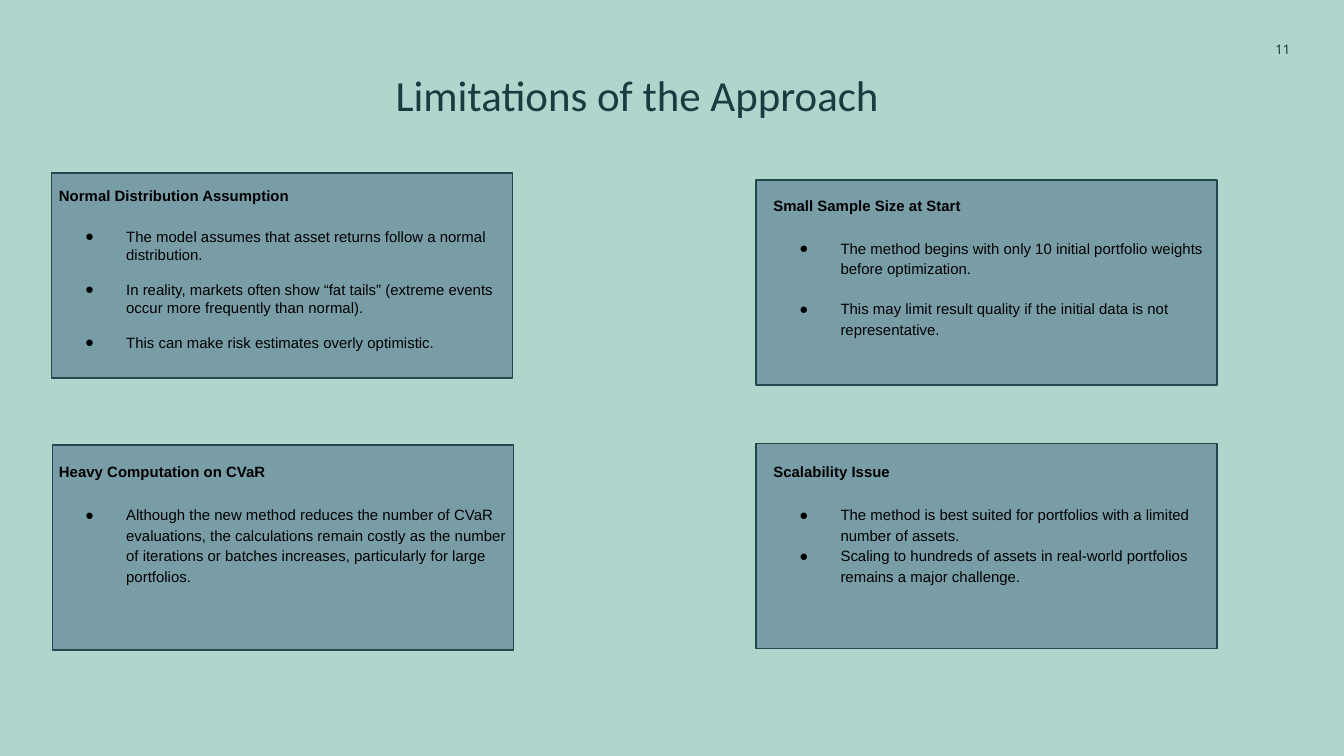
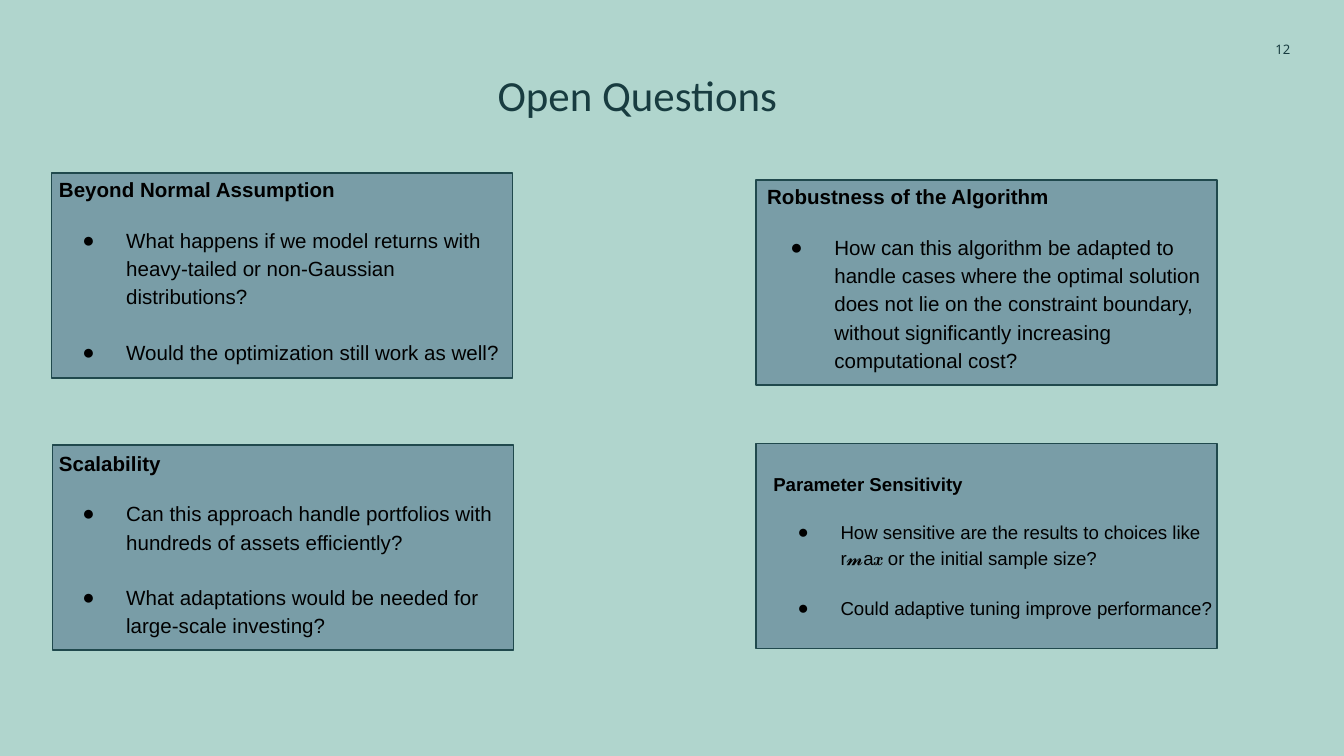
from lxml import etree
from pptx import Presentation
from pptx.dml.color import RGBColor
from pptx.enum.shapes import MSO_SHAPE
from pptx.enum.text import MSO_ANCHOR, PP_ALIGN
from pptx.oxml.ns import qn
from pptx.util import Pt

RECTANGLE = MSO_SHAPE.RECTANGLE
MIDDLE = MSO_ANCHOR.MIDDLE
LEFT, CENTER, RIGHT = PP_ALIGN.LEFT, PP_ALIGN.CENTER, PP_ALIGN.RIGHT

BACKGROUND, CARD_FILL, CARD_LINE = "B0D5CD", "799DA7", "20494D"
INK, BLACK = "183C40", "000000"
CARD_SIZE = (247, 109.8)
TEXT_SIZE = (242.6, 126.7)
CARD_CORNERS = [(27.6, 92.7), (405, 96.5), (28, 238.4), (405, 237.6)]
ARIAL_LINE = 1.15
PARAGRAPH_GAP = 12

SLIDES = [
    {
        "number": "11",
        "title": "Limitations of the Approach",
        "cards": [
            {"heading": "Normal Distribution Assumption", "corner": (31.6, 85.8),
             "size": 8, "spacing": 1.0, "apart": True, "bullets": [
                 "The model assumes that asset returns follow a normal distribution.",
                 "In reality, markets often show “fat tails” (extreme events occur more "
                 "frequently than normal).",
                 "This can make risk estimates overly optimistic."]},
            {"heading": "Small Sample Size at Start", "corner": (414.3, 84.2),
             "size": 8, "spacing": 1.15, "apart": True, "bullets": [
                 "The method begins with only 10 initial portfolio weights before optimization.",
                 "This may limit result quality if the initial data is not representative."]},
            {"heading": "Heavy Computation on CVaR", "corner": (31.6, 221.8),
             "size": 8, "spacing": 1.15, "apart": False, "bullets": [
                 "Although the new method reduces the number of CVaR evaluations, the "
                 "calculations remain costly as the number of iterations or batches "
                 "increases, particularly for large portfolios."]},
            {"heading": "Scalability Issue", "corner": (414.3, 221.8),
             "size": 8, "spacing": 1.15, "apart": False, "bullets": [
                 "The method is best suited for portfolios with a limited number of assets.",
                 "Scaling to hundreds of assets in real-world portfolios remains a major "
                 "challenge."]},
        ],
    },
    {
        "number": "12",
        "title": "Open Questions",
        "cards": [
            {"heading": "Beyond Normal Assumption", "corner": (31.6, 85.8),
             "size": 11, "spacing": 1.15, "apart": True, "bullets": [
                 "What happens if we model returns with heavy-tailed or non-Gaussian "
                 "distributions?",
                 "Would the optimization still work as well?"]},
            {"heading": "Robustness of the Algorithm", "corner": (411, 89.8),
             "size": 11, "spacing": 1.15, "apart": False, "bullets": [
                 "How can this algorithm be adapted to handle cases where the optimal "
                 "solution does not lie on the constraint boundary, without significantly "
                 "increasing computational cost?"]},
            {"heading": "Scalability", "corner": (31.6, 232.3),
             "size": 11, "spacing": 1.15, "apart": True, "bullets": [
                 "Can this approach handle portfolios with hundreds of assets efficiently?",
                 "What adaptations would be needed for large-scale investing?"]},
            {"heading": "Parameter Sensitivity", "corner": (414.3, 233.3),
             "size": 10, "spacing": 1.15, "apart": True, "bullets": [
                 "How sensitive are the results to choices like r𝓶а𝒙 or the initial sample size?",
                 "Could adaptive tuning improve performance?"]},
        ],
    },
]


def colour(value):
    return RGBColor.from_string(value)


def add_card(page, corner):
    card = page.shapes.add_shape(RECTANGLE, *map(Pt, corner + CARD_SIZE))
    card.shadow.inherit = False
    card.fill.solid()
    card.fill.fore_color.rgb = colour(CARD_FILL)
    card.line.color.rgb = colour(CARD_LINE)
    card.line.width = Pt(0.75)


def add_frame(page, place, top=0, bottom=0, right=0):
    frame = page.shapes.add_textbox(*map(Pt, place)).text_frame
    frame.word_wrap = True
    frame.vertical_anchor = MIDDLE
    frame.margin_left, frame.margin_right = 0, Pt(right)
    frame.margin_top, frame.margin_bottom = Pt(top), Pt(bottom)
    return frame


def write(para, text, size, font="Arial", ink=BLACK, bold=False, align=LEFT,
          spacing=1.0, before=0):
    para.alignment = align
    para.line_spacing = spacing
    para.space_before = Pt(before)
    span = para.add_run()
    span.text = text
    span.font.name = font
    span.font.size = Pt(size)
    span.font.bold = bold
    span.font.color.rgb = colour(ink)


def add_bullet(para, size):
    properties = para._p.get_or_add_pPr()
    properties.set("marL", str(Pt(36)))
    properties.set("indent", str(-Pt(18 + size / 2)))
    bullet_colour = etree.SubElement(properties, qn("a:buClr"))
    etree.SubElement(bullet_colour, qn("a:srgbClr"), val=BLACK)
    etree.SubElement(properties, qn("a:buFont"), typeface="Arial")
    etree.SubElement(properties, qn("a:buChar"), char="●")


def add_card_text(page, heading, corner, size, spacing, apart, bullets):
    frame = add_frame(page, corner + TEXT_SIZE, bottom=10)
    style = {"size": size, "spacing": spacing}
    write(frame.paragraphs[0], heading, bold=True, before=PARAGRAPH_GAP, **style)
    blank_line = size * ARIAL_LINE * spacing if apart else 0
    for index, text in enumerate(bullets):
        para = frame.add_paragraph()
        write(para, text, before=blank_line if index else PARAGRAPH_GAP, **style)
        add_bullet(para, size)


def add_page(deck, number, title, cards):
    page = deck.slides.add_slide(deck.slide_layouts[6])
    page.background.fill.solid()
    page.background.fill.fore_color.rgb = colour(BACKGROUND)
    for corner in CARD_CORNERS:
        add_card(page, corner)
    number_frame = add_frame(page, (648, 17.3, 43.2, 18.7), top=7.2, bottom=7.2)
    write(number_frame.paragraphs[0], number, 7, font="Noto Sans", ink=INK, align=RIGHT)
    title_frame = add_frame(page, (103.7, 20.2, 491.8, 61.2), bottom=1, right=16)
    write(title_frame.paragraphs[0], title, 23, font="Calibri", ink=INK, align=CENTER)
    for card in cards:
        add_card_text(page, **card)


def main():
    deck = Presentation()
    deck.slide_width, deck.slide_height = Pt(720), Pt(405)
    for slide in SLIDES:
        add_page(deck, **slide)
    deck.save("out.pptx")


if __name__ == "__main__":
    main()
